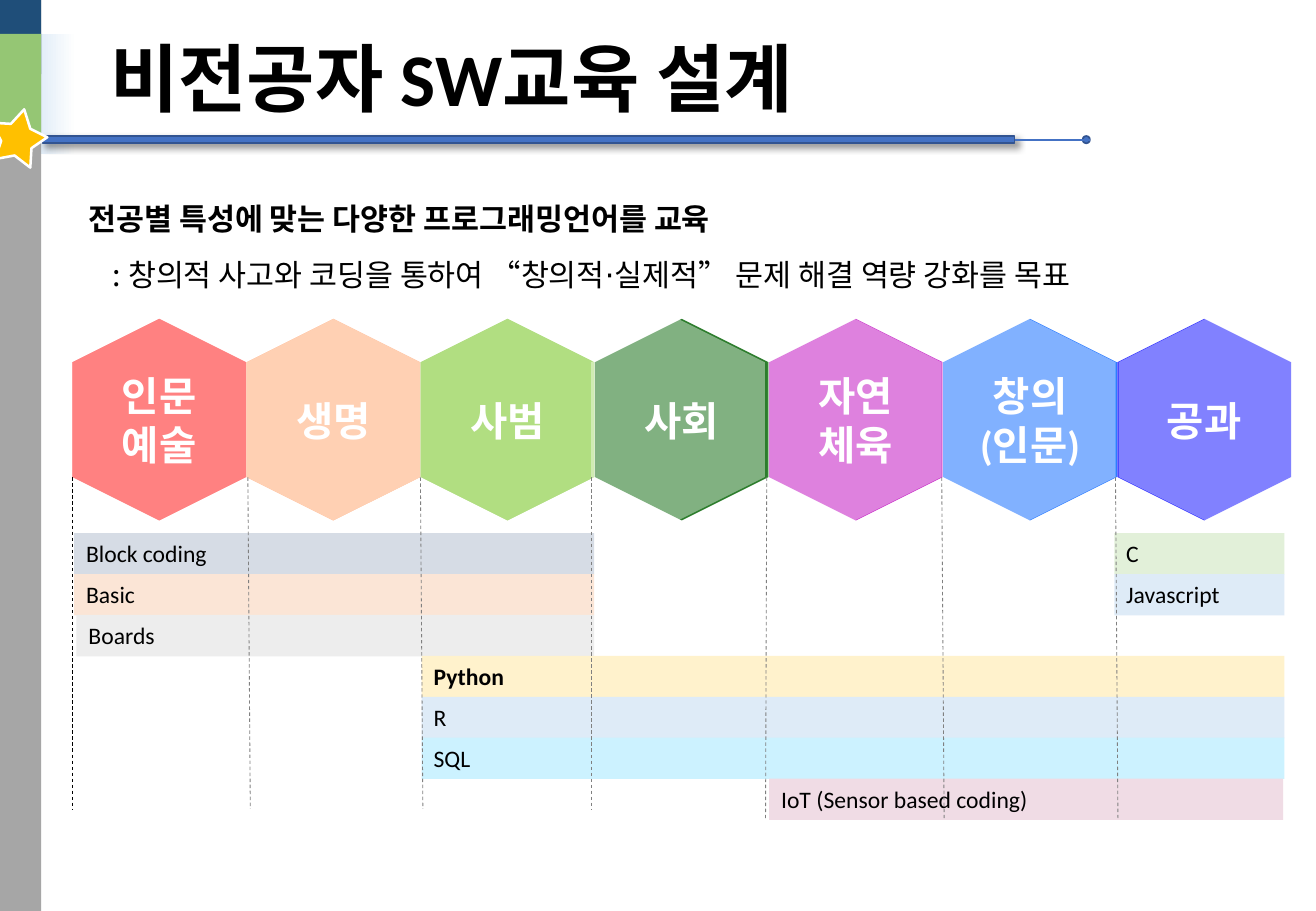
from dataclasses import dataclass

from lxml import etree
from pptx import Presentation
from pptx.dml.color import RGBColor
from pptx.enum.dml import MSO_LINE
from pptx.enum.shapes import MSO_CONNECTOR, MSO_SHAPE
from pptx.enum.text import MSO_ANCHOR, MSO_AUTO_SIZE, PP_ALIGN
from pptx.oxml.ns import qn
from pptx.util import Inches, Pt

RECTANGLE, HEXAGON, OVAL = MSO_SHAPE.RECTANGLE, MSO_SHAPE.HEXAGON, MSO_SHAPE.OVAL
STRAIGHT, DASH = MSO_CONNECTOR.STRAIGHT, MSO_LINE.DASH
TOP, MIDDLE = MSO_ANCHOR.TOP, MSO_ANCHOR.MIDDLE
LEFT, CENTER = PP_ALIGN.LEFT, PP_ALIGN.CENTER
GROW, FIXED = MSO_AUTO_SIZE.SHAPE_TO_FIT_TEXT, MSO_AUTO_SIZE.NONE
RIGHT_SIDE = 3


@dataclass(frozen=True)
class Theme:
    latin: str = "Calibri"
    korean: str = "Noto Sans CJK KR"
    title: int = 44
    label: int = 24
    body: int = 18
    bar: int = 14
    black: str = "000000"
    white: str = "FFFFFF"
    side: str = "A6A6A6"
    navy: str = "1F4E79"
    green: str = "95C674"
    pale_blue: str = "DEEBF7"
    blue: str = "4472C4"
    blue_edge: str = "325491"
    star: str = "FFC000"
    guide: str = "808080"


def write_text(frame, text, font, size, color, bold=False, align=LEFT,
               anchor=TOP, fit=GROW, margin=0, indent=0, spacing=None):
    """Fill a text frame, one paragraph for each line of text."""
    frame.word_wrap = True
    frame.auto_size = fit
    frame.vertical_anchor = anchor
    for number, line in enumerate(text.split("\n")):
        para = frame.add_paragraph() if number else frame.paragraphs[0]
        para.alignment = align
        para.line_spacing = spacing
        properties = para._p.get_or_add_pPr()
        properties.set("marL", str(Inches(margin)))
        properties.set("indent", str(Inches(indent)))
        span = para.add_run()
        span.text = line
        span.font.name = font
        span.font.size = Pt(size)
        span.font.bold = bold
        span.font.color.rgb = RGBColor.from_string(color)
        east_asian = etree.SubElement(span._r.get_or_add_rPr(), qn("a:ea"))
        east_asian.set("typeface", Theme.korean)


class Page:
    """Holds the theme and the current slide."""

    def __init__(self, deck, theme):
        self.theme = theme
        self.slide = deck.slides.add_slide(deck.slide_layouts[6])
        self.shapes = self.slide.shapes

    def paint(self, shape, fill, edge=None, width=1.0, alpha=None):
        shape.shadow.inherit = False
        shape.fill.solid()
        shape.fill.fore_color.rgb = RGBColor.from_string(fill)
        if alpha is not None:
            color = shape._element.spPr.find(qn("a:solidFill"))[0]
            etree.SubElement(color, qn("a:alpha")).set("val", str(alpha * 1000))
        if edge:
            shape.line.color.rgb = RGBColor.from_string(edge)
            shape.line.width = Pt(width)
        else:
            shape.line.fill.background()
        return shape

    def shape(self, kind, left, top, width, height, fill, rotation=0, **style):
        shape = self.shapes.add_shape(kind, *map(Inches, (left, top, width, height)))
        shape.rotation = rotation
        return self.paint(shape, fill, **style)

    def fade(self, shape, start, end):
        shape.fill.gradient()
        shape.fill.gradient_angle = 0
        for stop, color in zip(shape.fill.gradient_stops, (start, end)):
            stop.color.rgb = RGBColor.from_string(color)

    def drop_shadow(self, shape):
        effects = shape._element.spPr.find(qn("a:effectLst"))
        shadow = etree.SubElement(effects, qn("a:outerShdw"), blurRad=str(Pt(4)),
                                  dist=str(Pt(3)), dir=str(45 * 60000),
                                  algn="tl", rotWithShape="0")
        color = etree.SubElement(shadow, qn("a:srgbClr"), val=self.theme.black)
        etree.SubElement(color, qn("a:alpha"), val="40000")

    def outline(self, points, fill, **style):
        corners = [(Inches(x), Inches(y)) for x, y in points]
        builder = self.shapes.build_freeform(*corners[0])
        builder.add_line_segments(corners[1:], close=True)
        return self.paint(builder.convert_to_shape(), fill, **style)

    def line(self, start, end, color, width, dash=None, source=None):
        line = self.shapes.add_connector(STRAIGHT, *map(Inches, start + end))
        line.line.color.rgb = RGBColor.from_string(color)
        line.line.width = Pt(width)
        if dash:
            line.line.dash_style = dash
        if source is not None:
            line.begin_connect(source, RIGHT_SIDE)
        etree.SubElement(line._element.spPr, qn("a:effectLst"))

    def text(self, left, top, width, height, text, **style):
        box = self.shapes.add_textbox(*map(Inches, (left, top, width, height)))
        write_text(box.text_frame, text, **style)


# Majors: label, colour, sideways shift of each white veil
MAJORS = [
    ("인문\n예술", "FF2D2D", [0]),
    ("생명", "FF7D2D", [0, 0]),
    ("사범", "7DC82D", [0]),
    ("사회", "2D7D2D", [-0.03]),
    ("자연\n체육", "C82DC8", [-0.01]),
    ("창의\n(인문)", "2D7DFF", [-0.01]),
    ("공과", "2D2DFF", [0.01]),
]
# Languages: name, row, left, right, colour
LANGUAGES = [
    ("Block coding", 0, 0.61, 4.89, "D6DCE5"),
    ("Basic", 1, 0.61, 4.89, "FBE5D6"),
    ("Boards", 2, 0.63, 4.89, "EDEDED"),
    ("Python", 3, 3.47, 10.57, "FFF2CC"),
    ("R", 4, 3.47, 10.57, "DEEBF7"),
    ("C", 0, 9.17, 10.57, "E2F0D9"),
    ("Javascript", 1, 9.17, 10.57, "DEEBF7"),
    ("SQL", 5, 3.47, 10.57, "CCF2FF"),
    ("IoT (Sensor based coding)", 6, 6.33, 10.56, "F0DCE5"),
]
# Column guides: top x, bottom x, bottom y
GUIDES = [(0.6, 0.6, 6.66), (2.04, 2.06, 6.66), (3.46, 3.48, 6.66), (4.87, 4.87, 6.66),
          (6.31, 6.3, 6.74), (7.75, 7.77, 6.74), (9.18, 9.2, 6.74)]
STAR = [(-0.04, 1.31), (0.12, 1.28), (0.25, 1.38), (0.26, 1.22), (0.39, 1.13),
        (0.25, 1.06), (0.2, 0.9), (0.09, 1.02), (-0.07, 1.01), (0.01, 1.16)]
FIRST_HEXAGON, HEXAGON_PITCH = 0.48, (9.08 - 0.48) / 6
FIRST_ROW, ROW_PITCH = 4.39, (6.41 - 4.39) / 6
LABEL_MIDDLE = 3.46


def draw_frame(page):
    theme = page.theme
    # Side band
    glow = page.shape(RECTANGLE, 0.29, 0.28, 0.34, 0.99, theme.pale_blue)
    page.fade(glow, theme.pale_blue, theme.white)
    for top, height, color in [(0, 7.5, theme.side), (0, 0.61, theme.navy),
                               (0.28, 0.86, theme.green)]:
        page.shape(RECTANGLE, 0, top, 0.34, height, color)
    # Title rule and star
    rule = page.shape(RECTANGLE, 0.35, 1.12, 8, 0.06, theme.blue, edge=theme.blue_edge)
    page.drop_shadow(rule)
    page.shape(OVAL, 8.91, 1.12, 0.06, 0.06, theme.blue, edge=theme.blue_edge)
    page.line((8.35, 1.15), (8.97, 1.15), theme.blue, 1, source=rule)
    page.outline(STAR, theme.star, edge=theme.white, width=1.5)


def draw_headings(page):
    theme = page.theme
    page.text(0.61, 0.18, 9.48, 0.99, "비전공자 SW교육 설계", font=theme.latin,
              size=theme.title, color=theme.black, bold=True, anchor=MIDDLE,
              fit=FIXED, margin=0.2, spacing=0.9)
    body = dict(font=theme.korean, size=theme.body, color=theme.black)
    page.text(0.63, 1.6, 9.95, 0.4, "전공별 특성에 맞는 다양한 프로그래밍언어를 교육",
              bold=True, **body)
    page.text(0.63, 2.06, 9.95, 0.4,
              ": 창의적 사고와 코딩을 통하여 “창의적⋅실제적” 문제 해결 역량 강화를 목표",
              indent=0.2, **body)


def draw_majors(page):
    theme = page.theme
    for column, (label, color, shifts) in enumerate(MAJORS):
        left = FIRST_HEXAGON + column * HEXAGON_PITCH
        page.shape(HEXAGON, left, 2.74, 1.66, 1.43, color, rotation=90)
        for shift in shifts:
            page.shape(HEXAGON, left + shift, 2.74, 1.66, 1.43, theme.white,
                       rotation=90, alpha=40)
        height = 0.91 if "\n" in label else 0.5
        page.text(left + 0.12, LABEL_MIDDLE - height / 2, 1.42, height, label,
                  font=theme.latin, size=theme.label, color=theme.white,
                  bold=True, align=CENTER)


def draw_languages(page):
    theme = page.theme
    for name, row, left, right, color in LANGUAGES:
        bar = page.shape(RECTANGLE, left, FIRST_ROW + row * ROW_PITCH,
                         right - left, 0.34, color)
        write_text(bar.text_frame, name, theme.latin, theme.bar, theme.black,
                   bold=name == "Python")
    for number, (top_x, bottom_x, bottom) in enumerate(GUIDES):
        page.line((top_x, 3.93), (bottom_x, bottom),
                  theme.guide if number else theme.black, 0.5, dash=DASH)


def main():
    deck = Presentation()
    deck.slide_width, deck.slide_height = Inches(10.83), Inches(7.5)
    page = Page(deck, Theme())
    for draw in (draw_frame, draw_headings, draw_majors, draw_languages):
        draw(page)
    deck.save("out.pptx")


if __name__ == "__main__":
    main()
